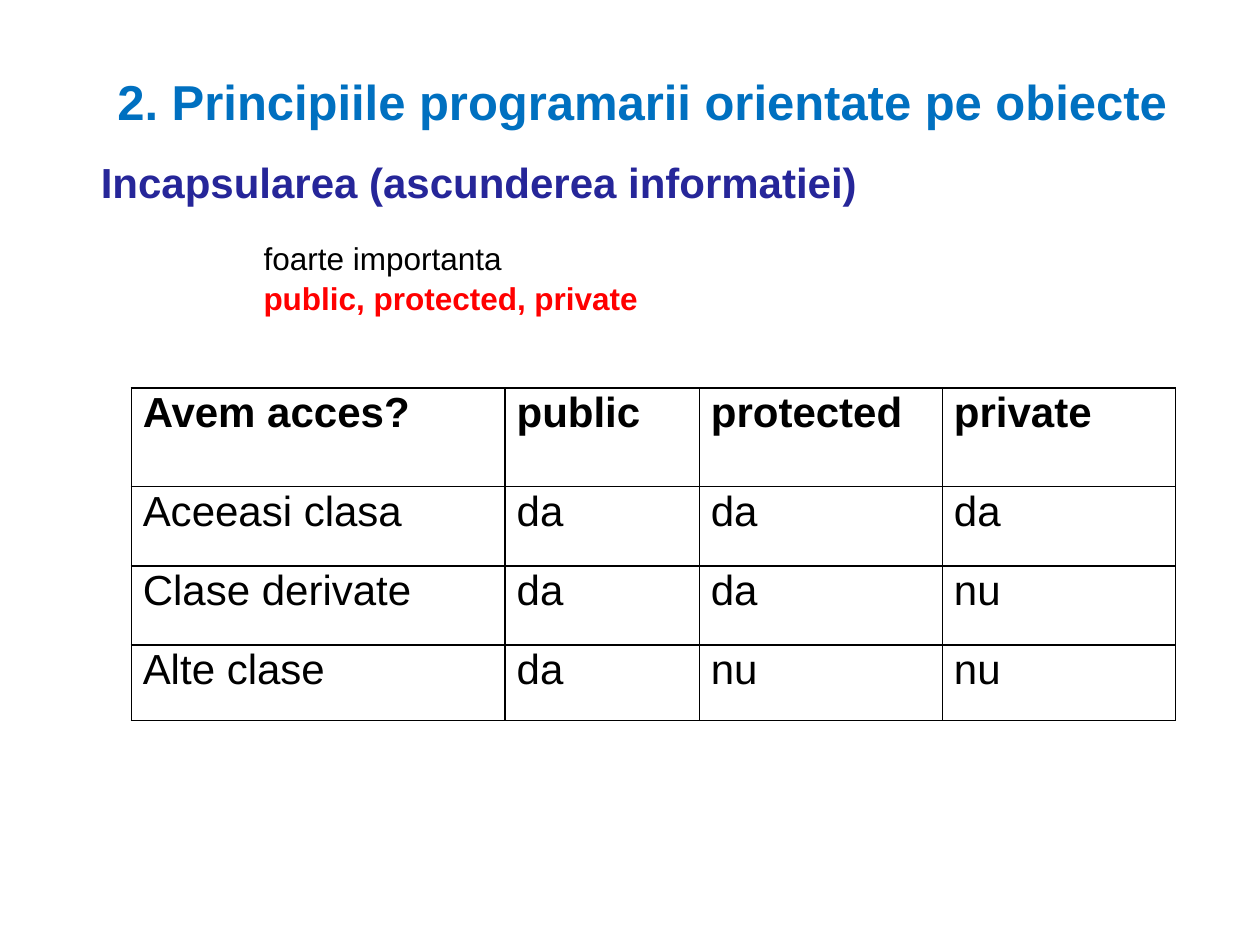
from pptx import Presentation
from pptx.dml.color import RGBColor
from pptx.oxml.ns import qn
from pptx.util import Pt
from lxml.etree import SubElement

BLUE = RGBColor(0x00, 0x70, 0xC0)
INDIGO = RGBColor(0x26, 0x26, 0x99)
RED = RGBColor(0xFF, 0x00, 0x00)
BLACK = RGBColor(0x00, 0x00, 0x00)

COLUMNS = [213.7, 111, 138.9, 133.3]
ROWS = [56.3, 45.2, 45.2, 43.3]
ACCESS = [
    ["Avem acces?", "public", "protected", "private"],
    ["Aceeasi clasa", "da", "da", "da"],
    ["Clase derivate", "da", "da", "nu"],
    ["Alte clase", "da", "nu", "nu"],
]


def add_run(p, text, size, color, bold=False):
    r = p.add_run()
    r.text = text
    r.font.name = "Arial"
    r.font.size = Pt(size)
    r.font.bold = bold
    r.font.color.rgb = color


def add_text(s, left, top, width, height, lines, inset=5, spacing=None):
    """Add a text box; each line is (text, size, color, bold)."""
    sp = s.shapes.add_textbox(Pt(left), Pt(top), Pt(width), Pt(height))
    tf = sp.text_frame
    tf.word_wrap = True
    tf.margin_left = tf.margin_right = Pt(6.6)
    tf.margin_top, tf.margin_bottom = Pt(inset), Pt(3)
    for i, line in enumerate(lines):
        p = tf.add_paragraph() if i else tf.paragraphs[0]
        if i:
            p.space_before = Pt(1)
        if spacing:
            p.line_spacing = spacing
        add_run(p, *line)


def add_borders(cell):
    """Draw a thin black line on all four sides of a cell."""
    props = cell._tc.get_or_add_tcPr()
    for i, side in enumerate(("lnL", "lnR", "lnT", "lnB")):
        line = props.makeelement(qn(f"a:{side}"), {"w": str(Pt(1))})
        fill = SubElement(line, qn("a:solidFill"))
        SubElement(fill, qn("a:srgbClr"), val=str(BLACK))
        props.insert(i, line)


def add_access_table(s, left, top):
    frame = s.shapes.add_table(len(ROWS), len(COLUMNS), Pt(left), Pt(top),
                               Pt(sum(COLUMNS)), Pt(sum(ROWS)))
    table = frame.table
    table.horz_banding = False
    for column, width in zip(table.columns, COLUMNS):
        column.width = Pt(width)
    for i, (row, height) in enumerate(zip(table.rows, ROWS)):
        row.height = Pt(height)
        for cell, text in zip(row.cells, ACCESS[i]):
            cell.margin_left = cell.margin_right = Pt(6.6)
            cell.margin_top = cell.margin_bottom = Pt(3.6)
            cell.fill.background()
            add_borders(cell)
            p = cell.text_frame.paragraphs[0]
            p.line_spacing = 0.89
            add_run(p, text, 24, BLACK, bold=i == 0)


def main():
    prs = Presentation()
    prs.slide_width, prs.slide_height = Pt(720), Pt(540)
    s = prs.slides.add_slide(prs.slide_layouts[6])

    # Subtitle and remarks
    add_text(s, 51, 84.2, 625, 41.8,
             [("Incapsularea (ascunderea informatiei)", 24, INDIGO, True)])
    add_text(s, 144, 131.8, 365.8, 65.5,
             [("foarte importanta", 18, BLACK),
              ("public, protected, private", 18, RED, True)])

    # Access rights
    add_access_table(s, 75, 221.8)

    # Title
    add_text(s, 60.5, 18, 635.8, 46.8,
             [("2. Principiile programarii orientate pe obiecte", 28, BLUE, True)],
             inset=6, spacing=1.5)

    prs.save("out.pptx")


if __name__ == "__main__":
    main()
